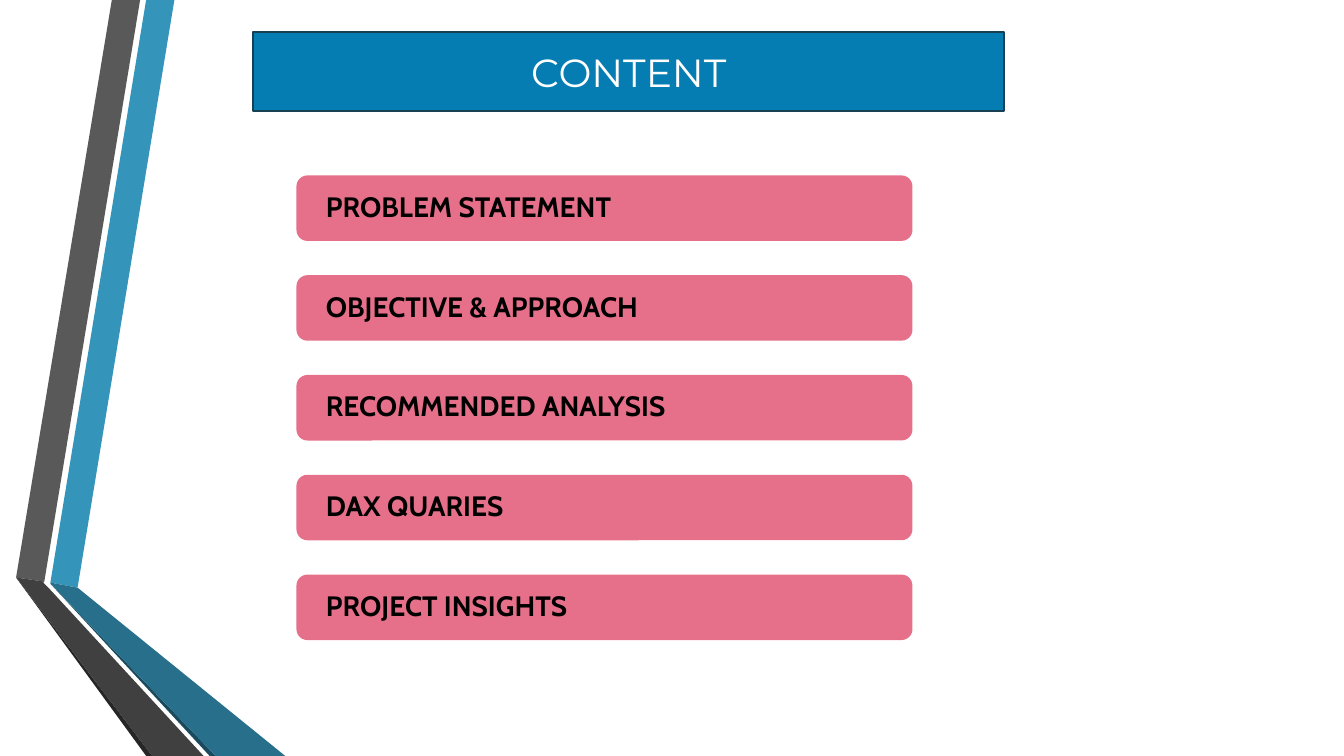
from lxml import etree
from pptx import Presentation
from pptx.dml.color import RGBColor
from pptx.enum.shapes import MSO_SHAPE
from pptx.enum.text import MSO_ANCHOR, MSO_AUTO_SIZE, PP_ALIGN
from pptx.oxml.ns import qn
from pptx.util import Inches, Pt

ROUND = MSO_SHAPE.ROUNDED_RECTANGLE
MIDDLE = MSO_ANCHOR.MIDDLE
FIXED = MSO_AUTO_SIZE.NONE
LEFT, CENTER = PP_ALIGN.LEFT, PP_ALIGN.CENTER

COLORS = {
    "sky": "3494BA",
    "gray": "595959",
    "coal": "262626",
    "navy": "1A4A5D",
    "teal": "276F8B",
    "slate": "404040",
    "blue": "057DB3",
    "edge": "174152",
    "pink": "E67089",
    "white": "FFFFFF",
    "black": "000000",
}

RIBBONS = [
    ("sky", [(0.5, 5.78), (0.77, 5.83), (1.73, 0), (1.45, 0)]),
    ("gray", [(1.39, 0), (1.11, 0), (0.16, 5.73), (0.44, 5.77)]),
    ("coal", [(0.16, 5.73), (1.45, 7.5), (1.51, 7.5)]),
    ("navy", [(0.5, 5.79), (2.08, 7.5), (2.14, 7.5)]),
    ("teal", [(0.5, 5.79), (2.14, 7.5), (2.83, 7.5), (0.77, 5.83), (0.5, 5.78)]),
    ("slate", [(2.02, 7.5), (0.48, 5.83), (0.43, 5.78), (0.44, 5.77),
               (0.16, 5.73), (1.51, 7.5)]),
]

TOPICS = [
    "PROBLEM STATEMENT",
    "OBJECTIVE & APPROACH",
    "RECOMMENDED ANALYSIS",
    "DAX QUARIES",
    "PROJECT INSIGHTS",
]


class Deck:
    def __init__(self):
        self.show = Presentation()
        self.show.slide_width = Inches(13.33)
        self.show.slide_height = Inches(7.5)
        self.slide = self.show.slides.add_slide(self.show.slide_layouts[5])

    def paint(self, shape, color):
        shape.fill.solid()
        shape.fill.fore_color.rgb = RGBColor.from_string(COLORS[color])

    def label(self, shape, text, font, size, color, bold, align):
        frame = shape.text_frame
        frame.text = text
        frame.word_wrap = True
        frame.auto_size = FIXED
        frame.vertical_anchor = MIDDLE
        line = frame.paragraphs[0]
        line.alignment = align
        line.font.name = font
        line.font.size = Pt(size)
        line.font.bold = bold
        line.font.color.rgb = RGBColor.from_string(COLORS[color])

    def ribbon(self, color, points):
        start, *rest = [(Inches(x), Inches(y)) for x, y in points]
        pen = self.slide.shapes.build_freeform(*start)
        pen.add_line_segments(rest, close=True)
        shape = pen.convert_to_shape()
        shape.shadow.inherit = False
        shape.line.fill.background()
        self.paint(shape, color)

    def title(self, text):
        shape = self.slide.shapes.title
        shape.left, shape.top = Inches(2.51), Inches(0.32)
        shape.width, shape.height = Inches(7.45), Inches(0.78)
        props = shape.element.spPr
        etree.SubElement(props, qn("a:prstGeom"), prst="roundRect")
        self.paint(shape, "blue")
        shape.line.width = Pt(1.25)
        shape.line.color.rgb = RGBColor.from_string(COLORS["edge"])
        self.label(shape, text, "Montserrat", 28, "white", False, CENTER)

    def bar(self, top, text):
        shape = self.slide.shapes.add_shape(
            ROUND, Inches(2.94), Inches(top), Inches(6.11), Inches(0.65))
        shape.shadow.inherit = False
        shape.line.fill.background()
        self.paint(shape, "pink")
        self.label(shape, text, "Cabin", 20, "black", True, LEFT)
        frame = shape.text_frame
        frame.margin_left = frame.margin_right = Inches(0.26)
        frame.margin_top = frame.margin_bottom = 0
        frame.paragraphs[0].line_spacing = 0.9


def main():
    deck = Deck()
    for color, points in RIBBONS:
        deck.ribbon(color, points)
    deck.title("CONTENT")
    for row, topic in enumerate(TOPICS):
        deck.bar(1.74 + 0.99 * row, topic)
    deck.show.save("out.pptx")


if __name__ == "__main__":
    main()
